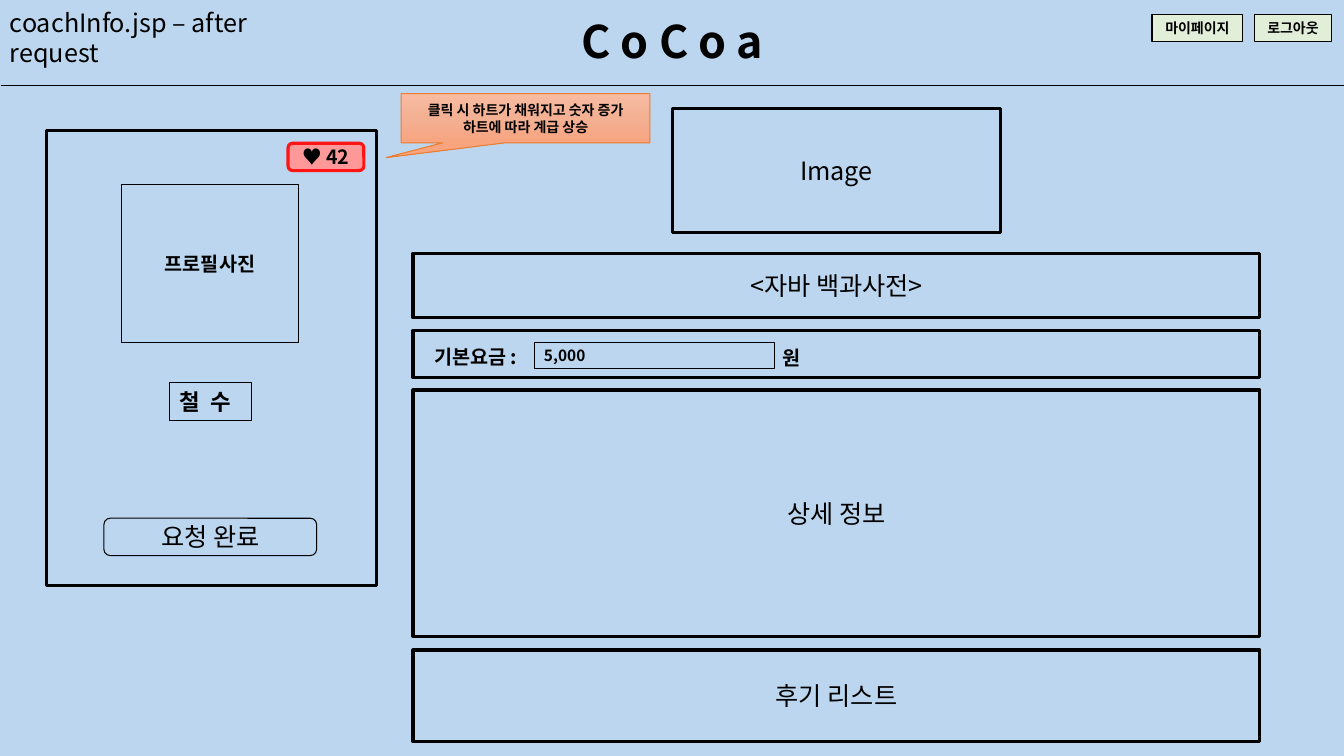
from copy import deepcopy
from dataclasses import dataclass
from typing import Optional

from lxml import etree
from pptx import Presentation
from pptx import util as u
from pptx.dml.color import RGBColor
from pptx.enum import shapes, text
from pptx.oxml.ns import qn

FONT = "Noto Sans CJK KR"
BLACK = RGBColor(0x00, 0x00, 0x00)
SKY = RGBColor(0xBB, 0xD6, 0xEE)
MINT = RGBColor(0xE1, 0xEF, 0xD8)
PINK = RGBColor(0xFF, 0x99, 0x99)
RED = RGBColor(0xFF, 0x15, 0x15)
ORANGE = RGBColor(0xED, 0x7D, 0x31)
PEACHES = (RGBColor(0xF7, 0xBC, 0xA2), RGBColor(0xF4, 0xB0, 0x93), RGBColor(0xF7, 0xA4, 0x7F))

RECT = shapes.MSO_SHAPE.RECTANGLE
ROUND = shapes.MSO_SHAPE.ROUNDED_RECTANGLE
CALLOUT = shapes.MSO_SHAPE.RECTANGULAR_CALLOUT
LEFT, CENTER = text.PP_ALIGN.LEFT, text.PP_ALIGN.CENTER
TOP, MIDDLE = text.MSO_ANCHOR.TOP, text.MSO_ANCHOR.MIDDLE
THICK, THIN = 2.25, 0.75


@dataclass
class Label:
    lines: tuple[str, ...]
    size: float = 18
    bold: bool = False
    align: text.PP_ALIGN = CENTER
    anchor: text.MSO_ANCHOR = MIDDLE
    wrap: bool = False
    spacing: int = 0  # hundredths of a point


@dataclass
class Box:
    """A shape, or a text box when kind is None; lengths in centimetres."""
    left: float
    top: float
    width: float
    height: float
    label: Optional[Label] = None
    kind: Optional[shapes.MSO_SHAPE] = RECT
    weight: float = THICK
    line: RGBColor = BLACK
    fill: Optional[RGBColor] = None


def panel(top: float, height: float, *lines: str) -> Box:
    """One of the full-width boxes of the right-hand column."""
    return Box(10.41, top, 21.34, height, Label(lines) if lines else None)


def menu_button(left: float, width: float, caption: str) -> Box:
    return Box(left, 0.36, width, 0.69, Label((caption,), 10, True, anchor=TOP),
               weight=1, fill=MINT)


def caption(left: float, top: float, width: float, height: float, label: Label) -> Box:
    label.anchor = TOP
    return Box(left, top, width, height, label, kind=None)


BOXES = [
    caption(12.83, 0.23, 8.23, 1.63, Label(("C o C o a",), 32, True)),
    caption(0, 0.05, 8.7, 1.02, Label(("coachInfo.jsp – after request",), align=LEFT, wrap=True)),
    menu_button(31.62, 1.93, "로그아웃"),
    menu_button(29.03, 2.29, "마이페이지"),
    Box(16.94, 2.74, 8.28, 3.12, Label(("Image",))),
    panel(6.38, 1.63, "<자바 백과사전>"),
    panel(8.33, 1.19),
    panel(9.83, 6.2, "상세 정보"),
    panel(16.38, 2.31, "후기 리스트"),
    caption(10.69, 8.56, 2.79, 0.86, Label(("기본요금 :",), 14, True, LEFT)),
    Box(13.46, 8.64, 6.05, 0.64, Label(("5,000",), 11, True, LEFT), weight=THIN),
    caption(19.48, 8.59, 0.97, 0.86, Label(("원",), 14, True, LEFT)),
    Box(1.17, 3.3, 8.31, 11.46),
    Box(7.26, 3.61, 1.91, 0.69, Label(("♥ 42",), 14, True), ROUND, line=RED, fill=PINK),
    Box(3.07, 4.65, 4.45, 3.99, Label(("프로필사진",), 14, True), weight=THIN),
    Box(4.27, 9.65, 2.06, 0.94, Label(("철 수",), 16, True, LEFT, TOP, spacing=200), weight=THIN),
    Box(2.62, 13.06, 5.36, 0.94, Label(("요청 완료",)), ROUND, THIN),
]
HEART_NOTE = Box(10.11, 2.36, 6.27, 1.24,
                 Label(("클릭 시 하트가 채워지고 숫자 증가", "하트에 따라 계급 상승"), 10, True),
                 CALLOUT, THIN, ORANGE)


def write(sp, label: Label) -> None:
    tf = sp.text_frame
    tf.word_wrap = label.wrap
    tf.vertical_anchor = label.anchor
    for i, line in enumerate(label.lines):
        p = tf.add_paragraph() if i else tf.paragraphs[0]
        p.alignment = label.align
        r = p.add_run()
        r.text = line
        r.font.name = FONT
        r.font.size = u.Pt(label.size)
        r.font.bold = label.bold
        r.font.color.rgb = BLACK
        rpr = r.font._element
        etree.SubElement(rpr, qn("a:ea")).set("typeface", FONT)
        if label.spacing:
            rpr.set("spc", str(label.spacing))


def draw(slide, box: Box):
    place = [u.Cm(v) for v in (box.left, box.top, box.width, box.height)]
    if box.kind is None:
        sp = slide.shapes.add_textbox(*place)
    else:
        sp = slide.shapes.add_shape(box.kind, *place)
        sp.shadow.inherit = False
        sp.line.color.rgb = box.line
        sp.line.width = u.Pt(box.weight)
        if box.fill is None:
            sp.fill.background()
        else:
            sp.fill.solid()
            sp.fill.fore_color.rgb = box.fill
    if box.label:
        write(sp, box.label)
    return sp


def draw_heart_note(slide) -> None:
    sp = draw(slide, HEART_NOTE)
    sp.adjustments[0], sp.adjustments[1] = -0.56, 0.8
    sp.fill.gradient()
    sp.fill.gradient_angle = 270
    first = sp._element.xpath(".//a:gs")[0]
    first.addnext(deepcopy(first))
    for stop, position, color in zip(sp.fill.gradient_stops, (0, 0.5, 1), PEACHES):
        stop.position = position
        stop.color.rgb = color


def draw_header_rule(slide) -> None:
    rule = slide.shapes.add_connector(shapes.MSO_CONNECTOR.STRAIGHT, u.Cm(0.03), u.Cm(2.16),
                                      u.Cm(33.87), u.Cm(2.16))
    rule.line.color.rgb = BLACK
    rule.line.width = u.Pt(THIN)
    etree.SubElement(rule._element.spPr, qn("a:effectLst"))


def main() -> None:
    prs = Presentation()
    prs.slide_width, prs.slide_height = u.Cm(33.87), u.Cm(19.05)
    s = prs.slides.add_slide(prs.slide_layouts[6])
    s.background.fill.solid()
    s.background.fill.fore_color.rgb = SKY
    draw_header_rule(s)
    for box in BOXES:
        draw(s, box)
    draw_heart_note(s)
    prs.save("out.pptx")


if __name__ == "__main__":
    main()
